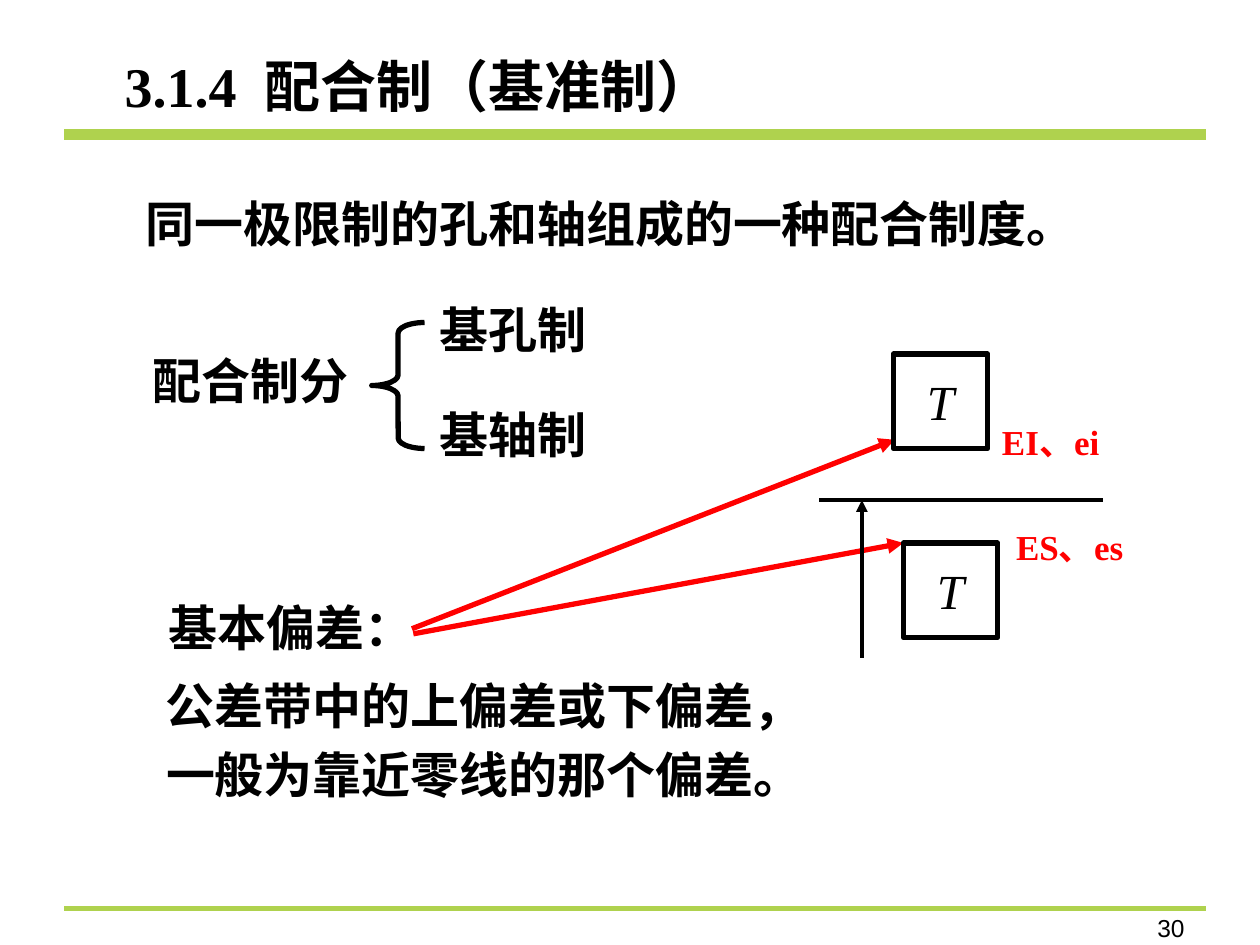
from dataclasses import dataclass
from lxml import etree
from pptx import Presentation
from pptx.dml.color import RGBColor
from pptx.enum.shapes import MSO_CONNECTOR, MSO_SHAPE
from pptx.enum.text import MSO_ANCHOR as Anchor, MSO_AUTO_SIZE as AutoSize, PP_ALIGN as Align
from pptx.oxml.ns import qn
from pptx.util import Pt


@dataclass(frozen=True)
class Theme:
    black: RGBColor = RGBColor(0, 0, 0)
    red: RGBColor = RGBColor(0xFF, 0, 0)
    green: RGBColor = RGBColor(0xAF, 0xD2, 0x4E)
    serif: str = "Times New Roman"
    sans: str = "Arial"
    title: int = 32
    body: int = 28
    label: int = 20
    number: int = 14


THEME = Theme()


def write(tf, text, align=Align.LEFT, spacing=None, color=THEME.black, **font):
    p = tf.paragraphs[0]
    p.alignment = align
    if spacing:
        p.line_spacing = spacing
    r = p.add_run()
    r.text = text
    style = {"name": THEME.serif, "size": THEME.body, "bold": True, **font}
    style["size"] = Pt(style["size"])
    for name, value in style.items():
        setattr(r.font, name, value)
    r.font.color.rgb = color


def add_title(s, number, text):
    """Fill the title, with a tab stop between section number and heading."""
    sp = s.shapes.title
    place = {"left": 64, "top": 26, "width": 390, "height": 46}
    for name, value in place.items():
        setattr(sp, name, Pt(value))
    tf = sp.text_frame
    tf.vertical_anchor = Anchor.TOP
    tf.auto_size = AutoSize.NONE
    tabs = etree.SubElement(tf.paragraphs[0]._p.get_or_add_pPr(), qn("a:tabLst"))
    etree.SubElement(tabs, qn("a:tab"), pos=str(Pt(80)), algn="l")
    write(tf, f"{number}\t{text}", size=THEME.title)


def add_text(s, text, left, top, width, height=41, **style):
    tf = s.shapes.add_textbox(Pt(left), Pt(top), Pt(width), Pt(height)).text_frame
    tf.word_wrap = True
    write(tf, text, **style)


def add_line(s, start, end, color=THEME.black, width=2.25, arrow=False):
    line = s.shapes.add_connector(MSO_CONNECTOR.STRAIGHT, *map(Pt, start + end))
    line.line.color.rgb = color
    line.line.width = Pt(width)
    if arrow:
        etree.SubElement(line.line._get_or_add_ln(), qn("a:tailEnd"), type="triangle")
    etree.SubElement(line._element.spPr, qn("a:effectLst"))


def add_outline(s, kind, left, top, width, height):
    sp = s.shapes.add_shape(kind, Pt(left), Pt(top), Pt(width), Pt(height))
    sp.shadow.inherit = False
    sp.fill.background()
    sp.line.color.rgb = THEME.black
    sp.line.width = Pt(3)
    return sp


def add_tolerance_zone(s, left, top):
    tf = add_outline(s, MSO_SHAPE.RECTANGLE, left, top, 54, 54).text_frame
    tf.word_wrap = False
    tf.vertical_anchor = Anchor.MIDDLE
    write(tf, "T", align=Align.CENTER, bold=False, italic=True)


def add_deviation_diagram(s):
    zero_y = 285.8
    add_line(s, (468, zero_y), (630, zero_y))
    add_line(s, (492.5, 375.8), (492.5, zero_y), arrow=True)
    for left, top in ((510.5, 202.3), (516.2, 310.3)):
        add_tolerance_zone(s, left, top)
    for text, left, top in (("EI、ei", 552.2, 236.9), ("ES、es", 563, 296.6)):
        add_text(s, text, left, top, 96.5, 31, align=Align.CENTER,
                 color=THEME.red, size=THEME.label)


def main():
    prs = Presentation()
    prs.slide_width, prs.slide_height = Pt(720), Pt(540)
    s = prs.slides.add_slide(prs.slide_layouts[5])

    for y, width in ((77, 6), (519.1, 3)):
        add_line(s, (36.7, y), (689, y), THEME.green, width)
    add_text(s, "30", 569.5, 518.4, 114.5, 21.6, align=Align.RIGHT,
             name=THEME.sans, size=THEME.number, bold=False)
    add_title(s, "3.1.4", "配合制（基准制）")

    add_text(s, "同一极限制的孔和轴组成的一种配合制度。", 76.3, 100.1, 618.5, 48.2, spacing=1.2)
    brace = add_outline(s, MSO_SHAPE.LEFT_BRACE, 212.4, 184.3, 30.2, 72)
    brace.adjustments[0] = 0.2
    for text, left, top, width in (
        ("基孔制", 244.1, 167.8, 178.6),
        ("基轴制", 244.1, 227.5, 144.7),
        ("配合制分", 79.9, 196.6, 181.4),
        ("基本偏差：", 89.3, 337.7, 213.8),
        ("公差带中的上偏差或下偏差，", 87.8, 382.3, 499),
        ("一般为靠近零线的那个偏差。", 87.8, 421.9, 493.2),
    ):
        add_text(s, text, left, top, width)

    for start, end in (((235.4, 359.3), (511.2, 251.3)), ((236.2, 362.2), (516.2, 310.3))):
        add_line(s, start, end, THEME.red, 3, arrow=True)
    add_deviation_diagram(s)
    prs.save("out.pptx")


if __name__ == "__main__":
    main()
